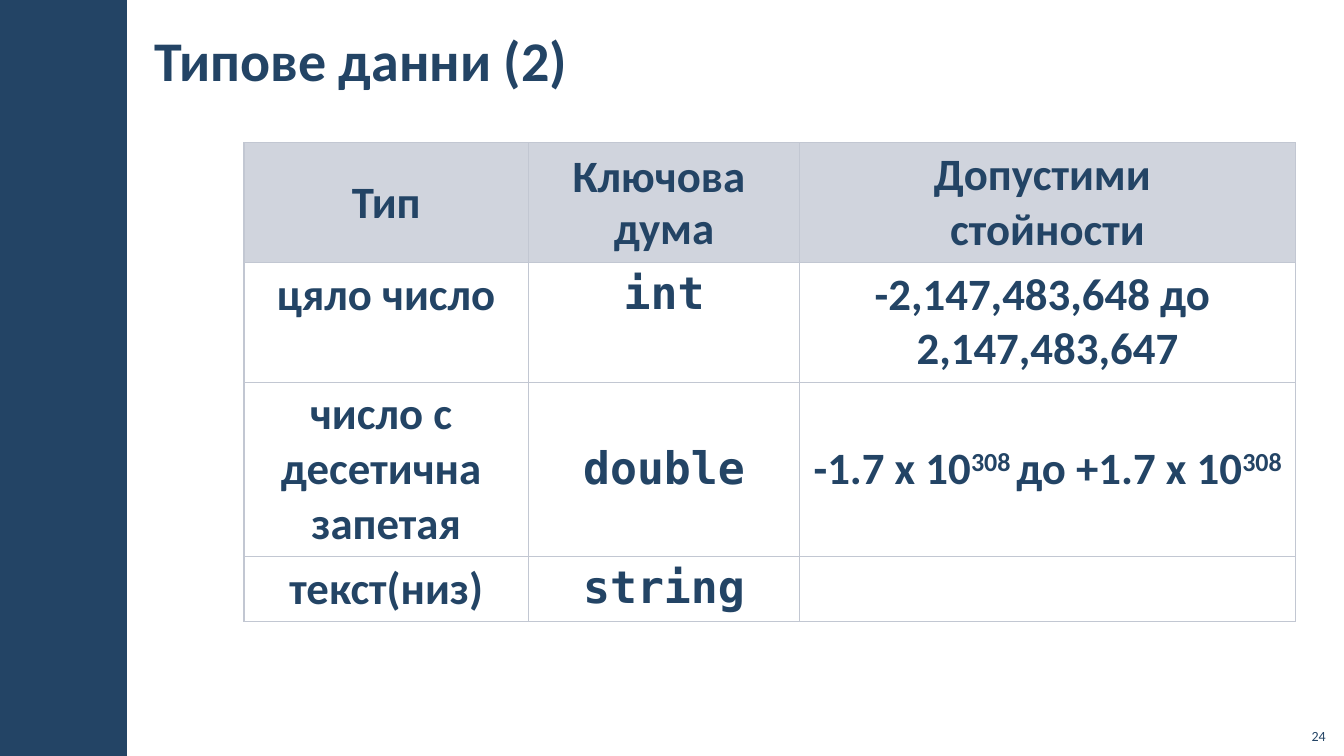
from lxml import etree
from pptx import Presentation
from pptx.dml.color import RGBColor
from pptx.enum.shapes import MSO_SHAPE
from pptx.enum.text import MSO_ANCHOR, MSO_AUTO_SIZE, PP_ALIGN
from pptx.oxml.ns import qn
from pptx.util import Cm, Pt

RECT = MSO_SHAPE.RECTANGLE
TOP, MID, LOW = MSO_ANCHOR.TOP, MSO_ANCHOR.MIDDLE, MSO_ANCHOR.BOTTOM
LEFT, MIDST, RIGHT = PP_ALIGN.LEFT, PP_ALIGN.CENTER, PP_ALIGN.RIGHT
NO_FIT = MSO_AUTO_SIZE.NONE
NAVY, GRAY, EDGE = "234465", "A3ABBC", "C2C7D2"
SANS, MONO = "Calibri", "DejaVu Sans Mono"


def color(code):
    return RGBColor.from_string(code)


def add_run(para, text, size, face=SANS, bold=True):
    run = para.add_run()
    run.text = text
    run.font.size = Pt(size)
    run.font.name = face
    run.font.bold = bold
    run.font.color.rgb = color(NAVY)
    return run


deck = Presentation()
deck.slide_width, deck.slide_height = Cm(33.87), Cm(19.05)
slide = deck.slides.add_slide(deck.slide_layouts[5])

bar = slide.shapes.add_shape(RECT, 0, 0, Cm(3.2), Cm(19.05))
bar.shadow.inherit = False
bar.fill.solid()
bar.fill.fore_color.rgb = color(NAVY)
bar.line.fill.background()

title = slide.shapes.title
title.left, title.top, title.width, title.height = Cm(3.6), Cm(0.25), Cm(23.32), Cm(2.46)
frame = title.text_frame
frame.auto_size = NO_FIT
frame.vertical_anchor = MID
frame.margin_left = frame.margin_right = Cm(0.3)
frame.margin_top = frame.margin_bottom = Cm(0.1)
frame.paragraphs[0].alignment = LEFT
add_run(frame.paragraphs[0], "Типове данни (2)", 40)

# Each cell is a list of paragraphs, each paragraph a list of lines.
rows = [
    (2.97, MID, [[["Тип"]], [["Ключова ", "дума"]], [["Допустими ", "стойности"]]]),
    (2.97, TOP, [[["цяло число"]], [["int"]], [["-2,147,483,648 до ", "2,147,483,647"]]]),
    (4.32, MID, [[["число с ", "десетична "], ["запетая"]], [["double"]],
                 [["-1.7 x 10^308 ^до +1.7 x 10^308"]]]),
    (1.6, TOP, [[["текст(низ)"]], [["string"]], []]),
]
widths = [7.17, 6.83, 12.5]
table = slide.shapes.add_table(
    len(rows), len(widths), Cm(6.15), Cm(3.6), Cm(sum(widths)), Cm(11.86)).table
for col, width in zip(table.columns, widths):
    col.width = Cm(width)

for r, (height, anchor, cells) in enumerate(rows):
    table.rows[r].height = Cm(height)
    for c, paras in enumerate(cells):
        cell = table.cell(r, c)
        cell.vertical_anchor = anchor
        props = cell._tc.get_or_add_tcPr()
        if r == 0:
            cell.fill.solid()
            cell.fill.fore_color.rgb = color(GRAY)
            tint = props.find(".//" + qn("a:srgbClr"))
            etree.SubElement(tint, qn("a:alpha"), val="50000")
        else:
            cell.fill.background()
        for spot, side in enumerate(["lnL", "lnR", "lnT", "lnB"]):
            line = etree.Element(qn("a:" + side), w=str(Pt(1)))
            fill = etree.SubElement(line, qn("a:solidFill"))
            etree.SubElement(fill, qn("a:srgbClr"), val=EDGE)
            props.insert(spot, line)
        face = MONO if r and c == 1 else SANS
        for p, lines in enumerate(paras):
            para = cell.text_frame.add_paragraph() if p else cell.text_frame.paragraphs[0]
            para.alignment = MIDST
            if r == 0 and c < 2:
                para.line_spacing = 0.95
            for n, text in enumerate(lines):
                if n:
                    para.add_line_break()
                for k, part in enumerate(text.split("^")):
                    run = add_run(para, part, 32, face)
                    if k % 2:
                        run._r.get_or_add_rPr().set("baseline", "30000")

page = slide.shapes.add_textbox(Cm(32.64), Cm(18.08), Cm(1.02), Cm(0.81)).text_frame
page.word_wrap = True
page.vertical_anchor = LOW
page.paragraphs[0].alignment = RIGHT
add_run(page.paragraphs[0], "24", 10, bold=False)

deck.save("out.pptx")
